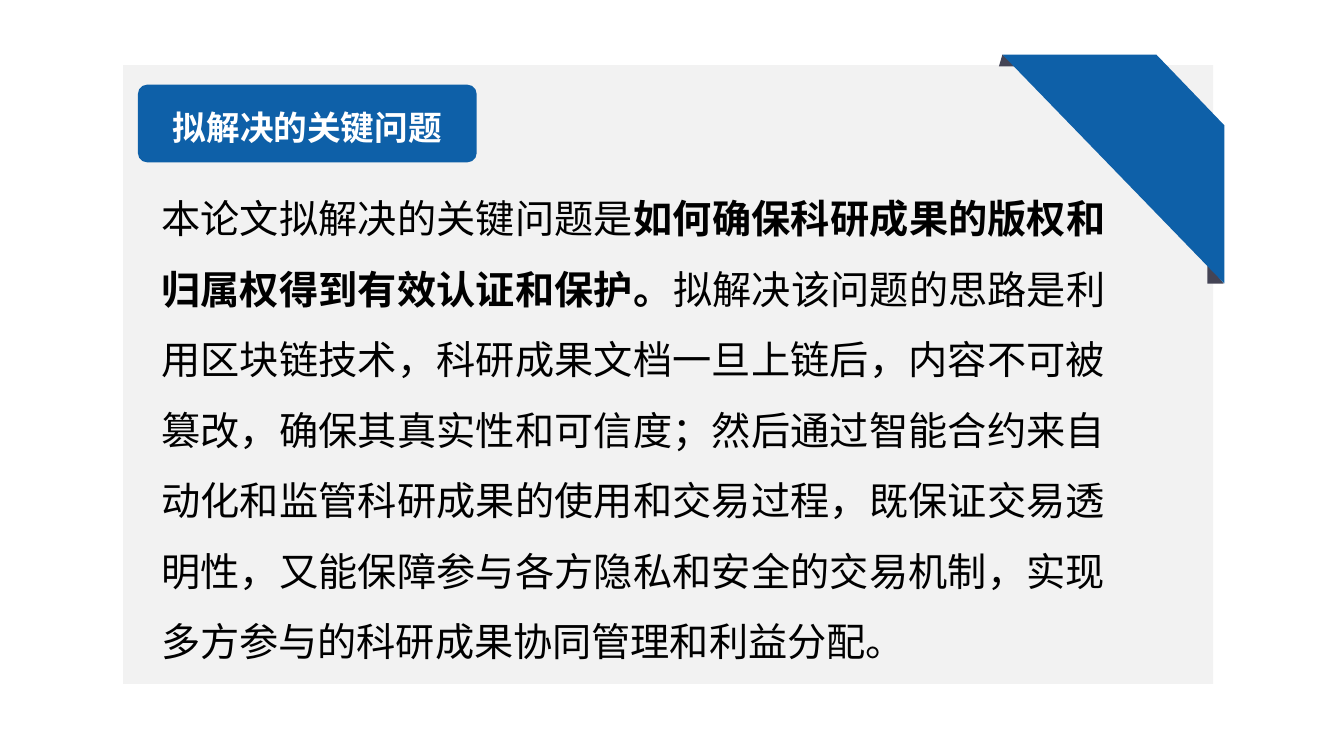
from dataclasses import dataclass

from pptx import Presentation
from pptx.dml.color import RGBColor
from pptx.enum.shapes import MSO_SHAPE as Preset
from pptx.enum.text import MSO_ANCHOR as Anchor, PP_ALIGN as Align
from pptx.oxml.ns import qn
from pptx.util import Pt

FONT = "Noto Sans CJK SC"
COLORS = {
    "panel": "F2F2F2",
    "fold": "444455",
    "blue": "0E60A8",
    "black": "000000",
    "white": "FFFFFF",
}


@dataclass
class Outline:
    color: str
    points: list[tuple[float, float]]


@dataclass
class TextRun:
    text: str
    size: float
    color: str
    bold: bool = False


RIBBON = [
    Outline("fold", [(874, 202.5), (862.5, 202.5), (862.5, 187)]),
    Outline("fold", [(716, 39), (713.5, 47.5), (726.5, 47.5)]),
    Outline("blue", [(716, 39), (874.5, 202.5), (874.5, 89.5), (826, 39)]),
]
TITLE = TextRun("拟解决的关键问题", 24, "white", True)
BODY = [
    TextRun("本论文拟解决的关键问题是", 28, "black"),
    TextRun("如何确保科研成果的版权和归属权得到有效认证和保护。", 28, "black", True),
    TextRun(
        "拟解决该问题的思路是利用区块链技术，科研成果文档一旦上链后，内容不可被篡改，"
        "确保其真实性和可信度；然后通过智能合约来自动化和监管科研成果的使用和交易过程，"
        "既保证交易透明性，又能保障参与各方隐私和安全的交易机制，"
        "实现多方参与的科研成果协同管理和利益分配。",
        28, "black",
    ),
]


def paint(shape, color: str) -> None:
    """Give a shape a flat fill without line or shadow."""
    shape.fill.solid()
    shape.fill.fore_color.rgb = RGBColor.from_string(COLORS[color])
    shape.line.fill.background()
    shape.shadow.inherit = False


def draw_outline(shapes, outline: Outline) -> None:
    start, *others = [(Pt(x), Pt(y)) for x, y in outline.points]
    builder = shapes.build_freeform(*start)
    builder.add_line_segments(others, close=True)
    paint(builder.convert_to_shape(), outline.color)


def add_run(paragraph, text_run: TextRun) -> None:
    run = paragraph.add_run()
    run.text = text_run.text
    font = run.font
    font.name = FONT
    font.size = Pt(text_run.size)
    font.bold = text_run.bold
    font.color.rgb = RGBColor.from_string(COLORS[text_run.color])
    east_asian = font._element.makeelement(qn("a:ea"), {"typeface": FONT})
    font._element.find(qn("a:latin")).addnext(east_asian)


def draw_card(slide) -> None:
    """Draw the grey panel with the ribbon folded round its corner."""
    shapes = slide.shapes.add_group_shape().shapes
    panel = shapes.add_shape(Preset.RECTANGLE, Pt(88), Pt(46.5), Pt(778.5), Pt(442))
    paint(panel, "panel")
    for outline in RIBBON:
        draw_outline(shapes, outline)


def draw_body(slide) -> None:
    box = slide.shapes.add_textbox(Pt(108), Pt(116), Pt(689), Pt(358.5))
    frame = box.text_frame
    frame.word_wrap = True
    frame.margin_top = Pt(6)
    paragraph = frame.paragraphs[0]
    paragraph.alignment = Align.JUSTIFY
    paragraph.line_spacing = Pt(50.4)
    for text_run in BODY:
        add_run(paragraph, text_run)


def draw_title(slide) -> None:
    badge = slide.shapes.add_shape(
        Preset.ROUNDED_RECTANGLE, Pt(98.5), Pt(60.5), Pt(242), Pt(55.5))
    badge.adjustments[0] = 0.12
    paint(badge, "blue")
    frame = badge.text_frame
    frame.word_wrap = True
    frame.vertical_anchor = Anchor.MIDDLE
    frame.margin_left = frame.margin_right = Pt(5)
    frame.margin_top = frame.margin_bottom = Pt(2.5)
    paragraph = frame.paragraphs[0]
    paragraph.alignment = Align.CENTER
    paragraph.line_spacing = 1.2
    add_run(paragraph, TITLE)


def main() -> None:
    presentation = Presentation()
    presentation.slide_width, presentation.slide_height = Pt(960), Pt(540)
    slide = presentation.slides.add_slide(presentation.slide_layouts[6])
    draw_card(slide)
    draw_body(slide)
    draw_title(slide)
    presentation.save("out.pptx")


if __name__ == "__main__":
    main()
